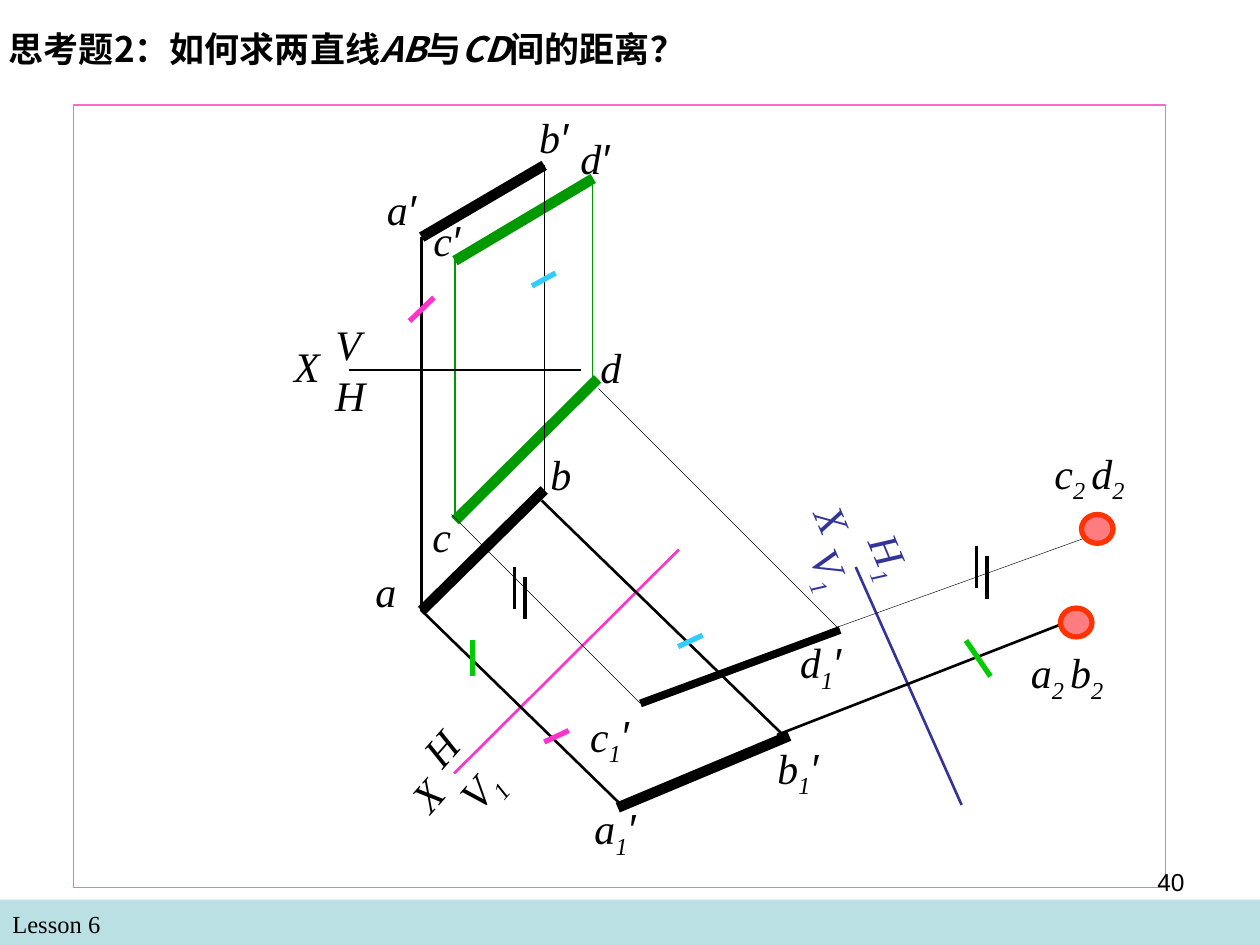
from itertools import groupby
from typing import NamedTuple

from lxml.etree import SubElement
from pptx import Presentation
from pptx.dml.color import RGBColor
from pptx.enum.shapes import MSO_CONNECTOR as Connector, MSO_SHAPE as Preset
from pptx.enum.text import PP_ALIGN as Align
from pptx.oxml.ns import qn
from pptx.util import Pt

COLORS = {
    "black": "000000", "green": "009900", "navy": "333399", "pink": "FF33CC",
    "sky": "33CCFF", "lime": "00CC00", "frame": "FF66CC", "footer": "BBE0E3",
    "point": "FF7C80", "ring": "FF3300",
}
SERIF, SANS, CJK = "Times New Roman", "Arial", "Noto Sans CJK SC"


class Stroke(NamedTuple):
    start: tuple[float, float]
    end: tuple[float, float]
    color: str
    weight: float


class Label(NamedTuple):
    text: str
    left: float
    top: float
    width: float
    rotation: float = 0
    color: str = "black"


class Span(NamedTuple):
    text: str
    font: str
    italic: bool = False
    bold: bool = False
    baseline: int = 0


STROKES = [
    Stroke((260, 297.5), (341.5, 216.5), "green", 6),
    Stroke((260, 149), (339, 102), "green", 6),
    Stroke((260, 294.5), (260, 147), "green", 0.75),
    Stroke((338.5, 102), (338.5, 216.5), "green", 0.75),
    Stroke((489, 324), (549.5, 460), "navy", 1.5),
    Stroke((241, 135.5), (241, 349), "black", 1.5),
    Stroke((199.5, 211.5), (332, 211.5), "black", 1.5),
    Stroke((241, 135.5), (311, 94.5), "black", 6),
    Stroke((241, 349), (311, 280), "black", 6),
    Stroke((311, 280), (311, 94.5), "black", 0.75),
    Stroke((444, 420), (613.5, 354), "black", 1.5),
    Stroke((259.5, 442), (388, 314), "pink", 1.5),
    Stroke((240.5, 348.5), (355, 460), "black", 1.5),
    Stroke((309.5, 286), (448.5, 421), "black", 1.5),
    Stroke((451, 420.5), (353, 461.5), "black", 6),
    Stroke((325, 417.5), (311, 424), "pink", 3),
    Stroke((248, 170), (234, 183.5), "pink", 3),
    Stroke((304, 163.5), (317.5, 156), "sky", 3),
    Stroke((387.5, 369.5), (401.5, 363), "sky", 3),
    Stroke((270, 366), (270, 386.5), "lime", 3),
    Stroke((552, 366), (566, 386.5), "lime", 3),
    Stroke((258, 294), (366, 402), "black", 0.25),
    Stroke((342, 222), (480, 360), "black", 0.25),
    Stroke((366, 402), (480, 360), "black", 4.5),
    Stroke((474, 360), (624, 306), "black", 0.25),
]
DOUBLE_TICKS = [(294, 324), (558, 312)]
POINT_VIEWS = [(606, 347.5), (618, 294)]
LABELS = [
    Label("c", 240, 288, 71),
    Label("d", 336, 191.5, 48),
    Label("d′", 324.5, 72, 68),
    Label("c′", 240.5, 119, 68),
    Label("a′", 214, 101.5, 58),
    Label("a", 207.5, 319.5, 66),
    Label("X", 161, 191, 49),
    Label("V", 184.5, 178.5, 35),
    Label("H", 184.5, 207.5, 42),
    Label("b′", 301, 60, 58),
    Label("b", 307.5, 252.5, 66),
    Label("a2 b2", 582, 366, 124.5),
    Label("c2 d2", 595.5, 252, 124.5),
    Label("X", 456, 288, 48, 67.1, "navy"),
    Label("H1", 483, 306, 55, 67.1, "navy"),
    Label("V1", 447, 318, 63, 67.1, "navy"),
    Label("X", 226, 429, 48, -48.7),
    Label("H", 234, 405.5, 42, -48.7),
    Label("V1", 252, 420, 67, -48.7),
    Label("a1′", 332.5, 455, 70, -0.6),
    Label("b1′", 437, 420.5, 70, -0.6),
    Label("c1′", 330, 402, 70, -0.6),
    Label("d1′", 450, 360, 70, -0.6),
]
TITLE = [
    Span("思考题2：如何求两直线", CJK, bold=True),
    Span("AB", CJK, italic=True, bold=True),
    Span("与", CJK, bold=True),
    Span("CD", CJK, italic=True, bold=True),
    Span("间的距离？", CJK, bold=True),
]


def rgb(name: str) -> RGBColor:
    """Return the named colour."""
    return RGBColor.from_string(COLORS[name])


def add_stroke(page, stroke: Stroke) -> None:
    """Draw one straight line without a shadow."""
    ends = [Pt(value) for value in (*stroke.start, *stroke.end)]
    line = page.shapes.add_connector(Connector.STRAIGHT, *ends)
    line.line.color.rgb = rgb(stroke.color)
    line.line.width = Pt(stroke.weight)
    SubElement(line._element.spPr, qn("a:effectLst"))


def add_preset(page, preset, area: tuple, fill: str = "", line: str = "", weight: float = 0) -> None:
    """Draw a preset shape with an optional fill and outline."""
    shape = page.shapes.add_shape(preset, *[Pt(value) for value in area])
    shape.shadow.inherit = False
    if fill:
        shape.fill.solid()
        shape.fill.fore_color.rgb = rgb(fill)
    else:
        shape.fill.background()
    if line:
        shape.line.color.rgb = rgb(line)
        shape.line.width = Pt(weight)
    else:
        shape.line.fill.background()


def add_text(page, area: tuple, spans: list[Span], size: float, color: str = "black",
             align: Align = Align.LEFT, rotation: float = 0) -> None:
    """Add a one-paragraph text box made of formatted spans."""
    box = page.shapes.add_textbox(*[Pt(value) for value in area])
    box.rotation = rotation
    box.text_frame.word_wrap = True
    para = box.text_frame.paragraphs[0]
    para.alignment = align
    for span in spans:
        run = para.add_run()
        run.text = span.text
        run.font.name = span.font
        run.font.size = Pt(size)
        run.font.italic = span.italic
        run.font.bold = span.bold
        run.font.color.rgb = rgb(color)
        properties = run.font._element
        if span.baseline:
            properties.set("baseline", str(span.baseline))
        if span.font == CJK:
            SubElement(properties, qn("a:ea"), typeface=CJK)


def label_spans(text: str) -> list[Span]:
    """Split a point name into letters, subscripts and primes."""
    spans = []
    for kind, letters in groupby(text, lambda c: "sub" if c in "12 " else "prime" if c == "′" else "name"):
        font = SANS if kind == "prime" else SERIF
        spans.append(Span("".join(letters), font, italic=True, baseline=-25000 if kind == "sub" else 0))
    return spans


def add_label(page, label: Label) -> None:
    """Add the name of a point or an axis."""
    height = 40 if any(c.isdigit() for c in label.text) else 36
    area = (label.left, label.top, label.width, height)
    add_text(page, area, label_spans(label.text), 24, label.color, rotation=label.rotation)


def main() -> None:
    """Build the slide and save it."""
    deck = Presentation()
    deck.slide_width, deck.slide_height = Pt(720), Pt(540)
    page = deck.slides.add_slide(deck.slide_layouts[6])

    add_preset(page, Preset.RECTANGLE, (0, 514, 720, 26), fill="footer")
    add_text(page, (0, 516, 348, 24.5), [Span("Lesson 6", SERIF)], 14)
    add_preset(page, Preset.RECTANGLE, (42, 60, 624, 447), line="frame", weight=0.75)
    for stroke in STROKES:
        add_stroke(page, stroke)
    for x, y in DOUBLE_TICKS:
        for shift in (0, 6):
            add_stroke(page, Stroke((x + shift, y + shift), (x + shift, y + shift + 24), "black", 2.25))
    for x, y in POINT_VIEWS:
        add_preset(page, Preset.OVAL, (x, y, 18, 16.5), "point", "ring", 3)
    for label in LABELS:
        add_label(page, label)
    add_text(page, (-2, 12, 414, 32), TITLE, 20)
    add_text(page, (516, 492, 168, 37.5), [Span("40", SANS)], 14, align=Align.RIGHT)

    deck.save("out.pptx")


if __name__ == "__main__":
    main()
